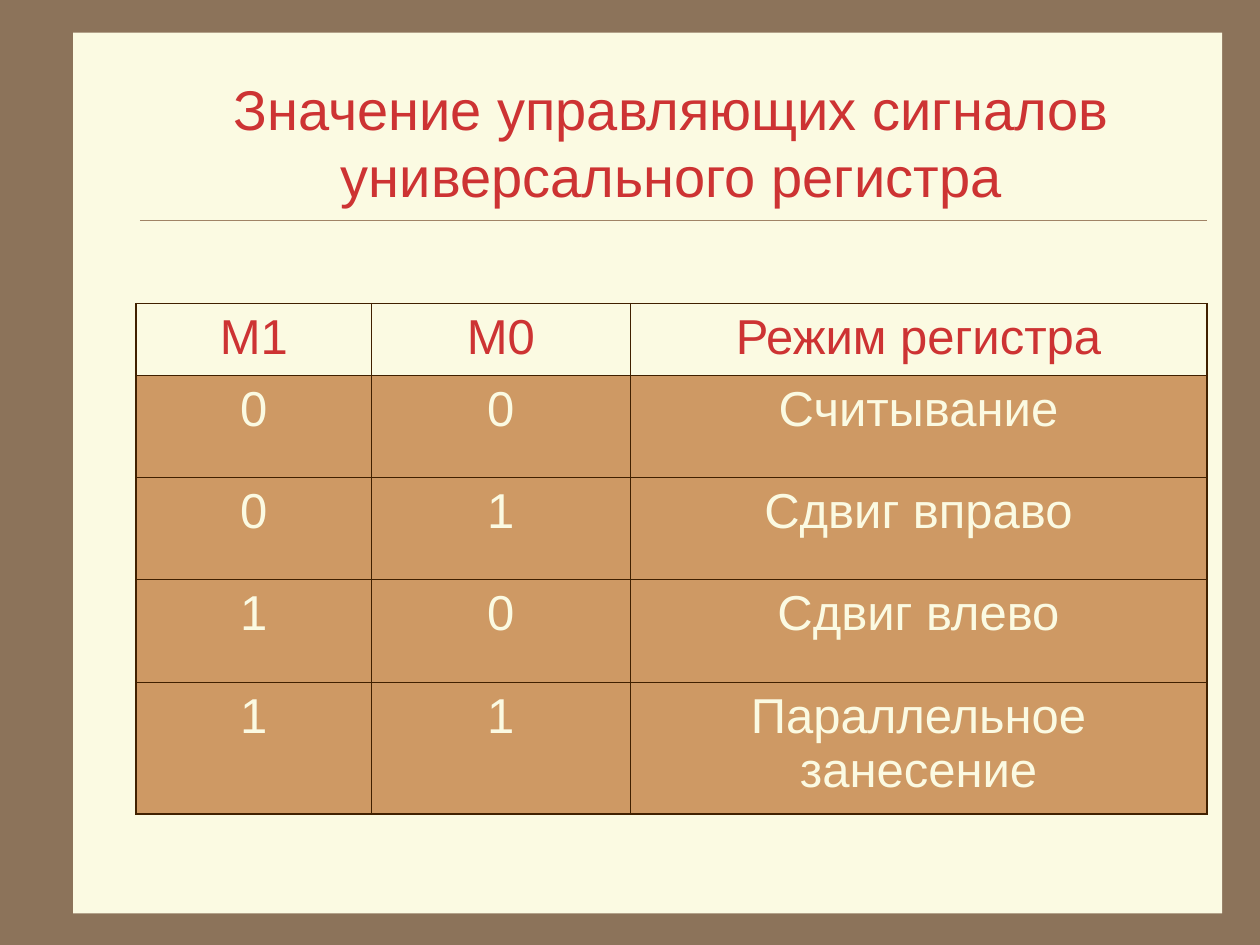
from lxml.etree import SubElement
from pptx import Presentation
from pptx.dml.color import RGBColor
from pptx.enum.shapes import MSO_CONNECTOR, MSO_SHAPE
from pptx.enum.text import MSO_ANCHOR, MSO_AUTO_SIZE, PP_ALIGN
from pptx.oxml.ns import qn
from pptx.util import Inches, Pt

COLORS = {
    "background": "8C735A",
    "paper": "FBFAE2",
    "rule": "A08366",
    "accent": "CD3333",
    "body": "CE9964",
    "border": "402000",
}
FONT = "Arial"
THIN, THICK = 0.45, 1.08

COLUMN_WIDTHS = [1.87, 2.05, 4.58]
ROW_HEIGHTS = [0.57, 0.81, 0.81, 0.82, 1.04]
MODES = [
    ["М1", "М0", "Режим регистра"],
    ["0", "0", "Считывание"],
    ["0", "1", "Сдвиг вправо"],
    ["1", "0", "Сдвиг влево"],
    ["1", "1", "Параллельное занесение"],
]


def rgb(name):
    return RGBColor.from_string(COLORS[name])


def write_text(text_frame, text, size, color, space_before=0):
    paragraph = text_frame.paragraphs[0]
    paragraph.alignment = PP_ALIGN.CENTER
    paragraph.space_before = Pt(space_before)
    run = paragraph.add_run()
    run.text = text
    run.font.name = FONT
    run.font.size = Pt(size)
    run.font.color.rgb = rgb(color)


def add_paper(slide):
    paper = slide.shapes.add_shape(
        MSO_SHAPE.RECTANGLE, Inches(0.58), Inches(0.26), Inches(9.12), Inches(6.99))
    paper.shadow.inherit = False
    paper.fill.solid()
    paper.fill.fore_color.rgb = rgb("paper")
    paper.line.fill.background()


def add_rule(slide):
    rule = slide.shapes.add_connector(
        MSO_CONNECTOR.STRAIGHT, Inches(1.11), Inches(1.75), Inches(9.58), Inches(1.75))
    rule.line.color.rgb = rgb("rule")
    rule.line.width = Pt(0.25)
    SubElement(rule._element.spPr, qn("a:effectLst"))


def set_title(slide, text):
    title = slide.shapes.title
    title.left, title.top = Inches(1.08), Inches(0.5)
    title.width, title.height = Inches(8.5), Inches(1.25)
    frame = title.text_frame
    frame.word_wrap = True
    frame.auto_size = MSO_AUTO_SIZE.NONE
    frame.vertical_anchor = MSO_ANCHOR.MIDDLE
    write_text(frame, text, size=32, color="accent")
    # Bring the title in front of the paper
    title._element.getparent().append(title._element)


def set_borders(cell, widths):
    properties = cell._tc.get_or_add_tcPr()
    for position, (side, width) in enumerate(widths.items()):
        line = properties.makeelement(qn(f"a:ln{side}"), {"w": str(Pt(width))})
        fill = SubElement(line, qn("a:solidFill"))
        SubElement(fill, qn("a:srgbClr"), val=COLORS["border"])
        properties.insert(position, line)


def add_mode_table(slide):
    last_row, last_column = len(ROW_HEIGHTS) - 1, len(COLUMN_WIDTHS) - 1
    table = slide.shapes.add_table(
        len(ROW_HEIGHTS), len(COLUMN_WIDTHS), Inches(1.08), Inches(2.41),
        Inches(sum(COLUMN_WIDTHS)), Inches(sum(ROW_HEIGHTS))).table
    table.horz_banding = False
    for column, width in zip(table.columns, COLUMN_WIDTHS):
        column.width = Inches(width)
    for row, height in zip(table.rows, ROW_HEIGHTS):
        row.height = Inches(height)

    for r, labels in enumerate(MODES):
        for c, label in enumerate(labels):
            cell = table.cell(r, c)
            if r == 0:
                cell.fill.background()
            else:
                cell.fill.solid()
                cell.fill.fore_color.rgb = rgb("body")
            write_text(cell.text_frame, label, size=28, space_before=7,
                       color="accent" if r == 0 else "paper")
            # Thick lines only on the outer edge
            set_borders(cell, {
                "L": THICK if c == 0 else THIN,
                "R": THICK if c == last_column else THIN,
                "T": THICK if r == 0 else THIN,
                "B": THICK if r == last_row else THIN,
            })


def main():
    presentation = Presentation()
    presentation.slide_width, presentation.slide_height = Inches(10), Inches(7.5)
    slide = presentation.slides.add_slide(presentation.slide_layouts[5])
    slide.background.fill.solid()
    slide.background.fill.fore_color.rgb = rgb("background")

    add_paper(slide)
    add_rule(slide)
    set_title(slide, "Значение управляющих сигналов универсального регистра")
    add_mode_table(slide)
    presentation.save("out.pptx")


if __name__ == "__main__":
    main()
